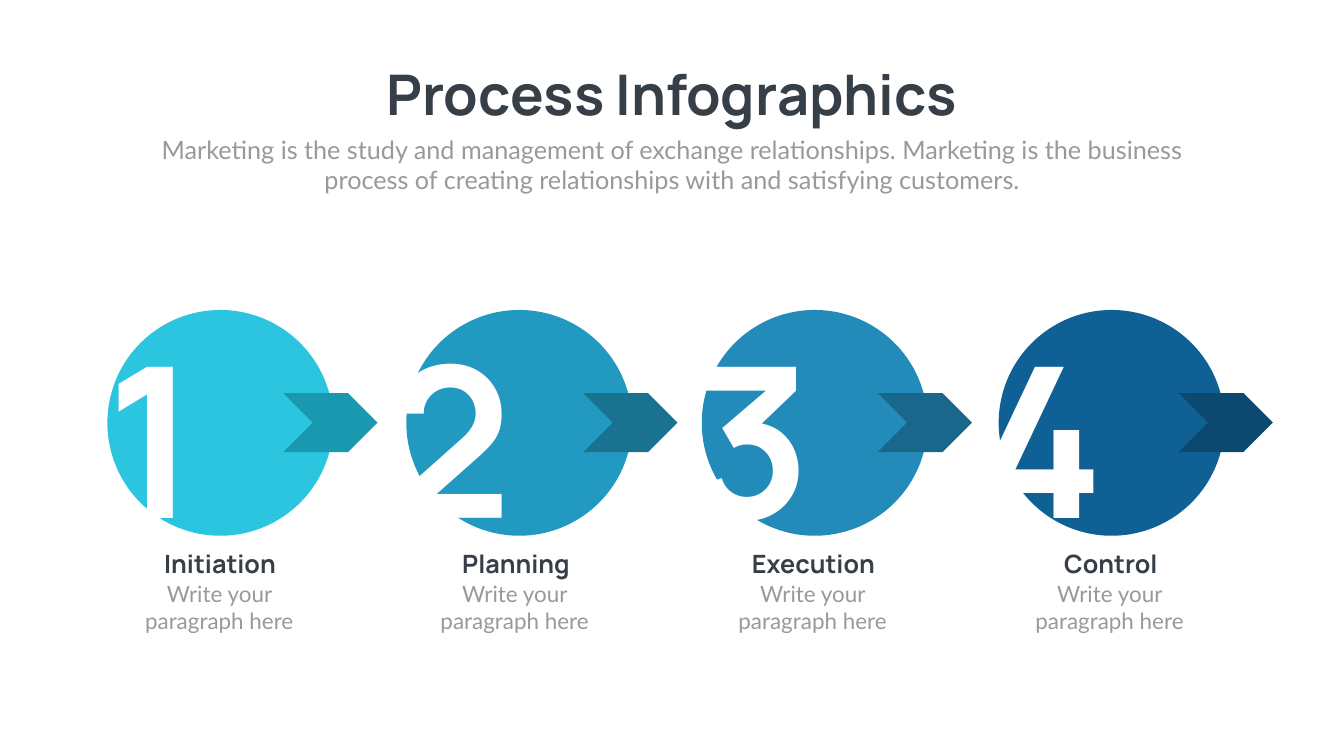
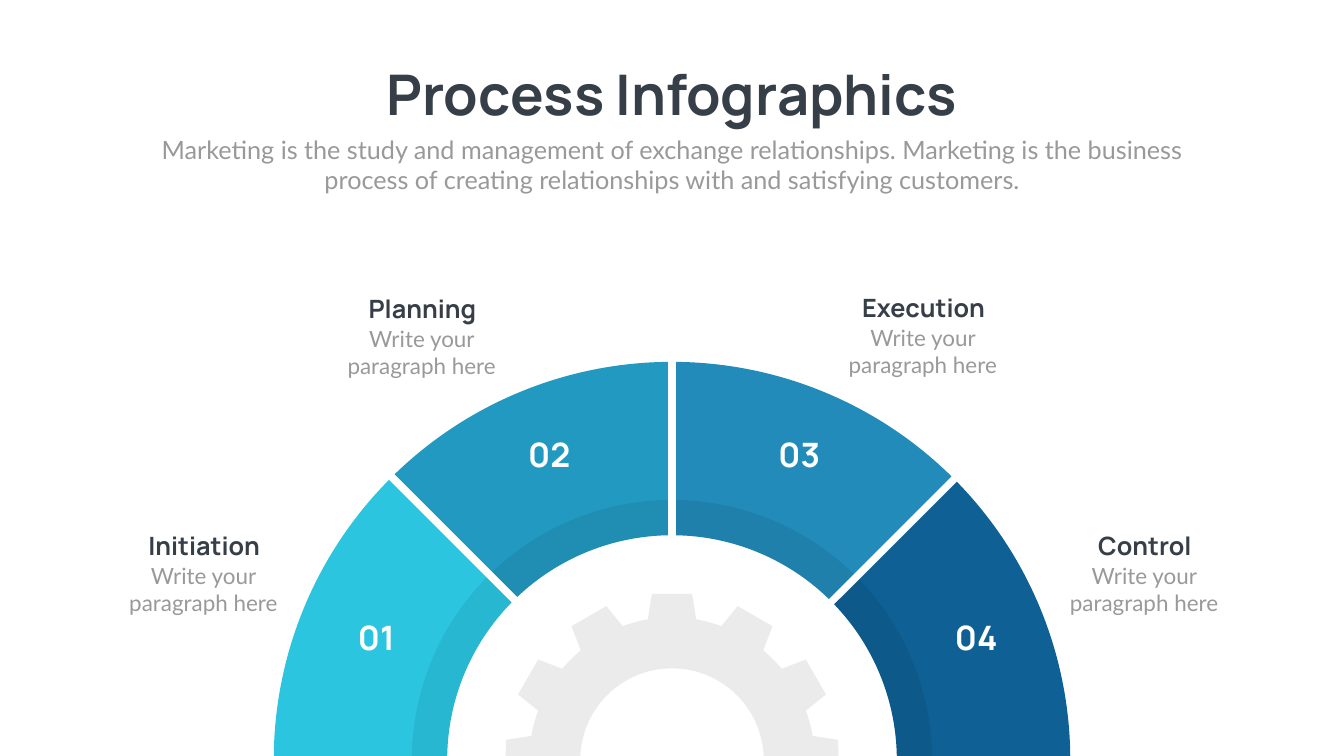
import math
from dataclasses import dataclass

import lxml.etree
import pptx
import pptx.dml.color
import pptx.enum.shapes
import pptx.enum.text
import pptx.oxml.ns
import pptx.presentation
import pptx.shapes.autoshape
import pptx.slide
import pptx.util

INK = pptx.dml.color.RGBColor(0x36, 0x3E, 0x48)
GREY = pptx.dml.color.RGBColor(0x99, 0x99, 0x99)
WHITE = pptx.dml.color.RGBColor(0xFF, 0xFF, 0xFF)
BLACK = pptx.dml.color.RGBColor(0x00, 0x00, 0x00)
GEAR_GREY = pptx.dml.color.RGBColor(0xEB, 0xEB, 0xEB)
CYAN = pptx.dml.color.RGBColor(0x2B, 0xC5, 0xE0)
TEAL = pptx.dml.color.RGBColor(0x22, 0x99, 0xC0)
BLUE = pptx.dml.color.RGBColor(0x22, 0x8B, 0xB9)
NAVY = pptx.dml.color.RGBColor(0x0F, 0x61, 0x95)
DARK_CYAN = pptx.dml.color.RGBColor(0x1A, 0x98, 0xAF)
DARK_TEAL = pptx.dml.color.RGBColor(0x19, 0x73, 0x90)
DARK_BLUE = pptx.dml.color.RGBColor(0x19, 0x68, 0x8B)
DARK_NAVY = pptx.dml.color.RGBColor(0x0B, 0x49, 0x70)

HEADING_FONT = "Manrope"
BODY_FONT = "Lato"
TITLE = "Process Infographics"
SUBTITLE = (
    "Marketing is the study and management of exchange relationships. "
    "Marketing is the business process of creating relationships with "
    "and satisfying customers."
)
STAGE_BODY = "Write your paragraph here"

CENTER_X, CENTER_Y = 13.33, 15.08
FLOOR_GAP = 0.08
OUTER_RADIUS, SHADE_RADIUS, INNER_RADIUS = 7.9, 5.16, 4.46
SECTOR_SWEEP = 45
TOOTH_PITCH = 30
TIP_RADIUS, TIP_HALF_ANGLE = 3.32, 6.9
ROOT_RADIUS, ROOT_HALF_ANGLE = 2.83, 9.76
RIM_RADIUS, HOLE_RADIUS = 3.3, 1.82

Point = tuple[float, float]


@dataclass(frozen=True)
class Stage:
    name: str
    color: pptx.dml.color.RGBColor
    arrow_color: pptx.dml.color.RGBColor
    circle_left: float
    numeral_left: float
    caption_left: float
    body_left: float
    arrow_left: float
    sector_start: float
    start_gap: float
    end_gap: float
    sector_number_at: Point
    sector_caption_at: Point


@dataclass(frozen=True)
class Node:
    point: Point
    controls: tuple[Point, ...] = ()


STAGES = [
    Stage("Initiation", CYAN, DARK_CYAN, 2.13, 0.98, 3.03, 2.45, 5.62,
          135, 0.04, FLOOR_GAP, (6.52, 12.2), (2.37, 10.47)),
    Stage("Planning", TEAL, DARK_TEAL, 8.06, 6.88, 8.9, 8.31, 11.57,
          90, 0.08, 0.12, (9.95, 8.56), (6.7, 5.78)),
    Stage("Execution", BLUE, DARK_BLUE, 13.92, 12.83, 14.8, 14.22, 17.41,
          45, 0.06, 0.08, (14.91, 8.56), (16.64, 5.75)),
    Stage("Control", NAVY, DARK_NAVY, 19.81, 18.58, 20.7, 20.11, 23.38,
          0, FLOOR_GAP, 0.09, (18.42, 12.2), (21.03, 10.47)),
]


def add_text(shapes, text: str, left: float, top: float, width: float,
             height: float, *, size: float, font: str = HEADING_FONT,
             color: pptx.dml.color.RGBColor = INK, bold: bool = True,
             wrap: bool = True) -> None:
    box = shapes.add_textbox(*map(pptx.util.Inches, (left, top, width, height)))
    frame = box.text_frame
    frame.word_wrap = wrap
    frame.auto_size = pptx.enum.text.MSO_AUTO_SIZE.SHAPE_TO_FIT_TEXT
    paragraph = frame.paragraphs[0]
    paragraph.alignment = pptx.enum.text.PP_ALIGN.CENTER
    run = paragraph.add_run()
    run.text = text
    run.font.name = font
    run.font.size = pptx.util.Pt(size)
    run.font.bold = bold
    run.font.color.rgb = color


def paint(shape: pptx.shapes.autoshape.Shape,
          color: pptx.dml.color.RGBColor, opacity: int = 100) -> None:
    shape.shadow.inherit = False
    shape.fill.solid()
    shape.fill.fore_color.rgb = color
    shape.line.fill.background()
    if opacity < 100:
        fill_color = shape.element.spPr.find(
            f"{pptx.oxml.ns.qn('a:solidFill')}/{pptx.oxml.ns.qn('a:srgbClr')}")
        lxml.etree.SubElement(fill_color, pptx.oxml.ns.qn("a:alpha"),
                              val=str(opacity * 1000))


def add_preset(shapes, preset: pptx.enum.shapes.MSO_SHAPE, left: float,
               top: float, width: float, height: float,
               color: pptx.dml.color.RGBColor) -> None:
    shape = shapes.add_shape(
        preset, *map(pptx.util.Inches, (left, top, width, height)))
    paint(shape, color)


def add_outline(shapes, nodes: list[Node],
                color: pptx.dml.color.RGBColor, opacity: int = 100) -> None:
    start, *rest = [tuple(map(pptx.util.Inches, node.point)) for node in nodes]
    builder = shapes.build_freeform(*start)
    builder.add_line_segments(rest, close=True)
    shape = builder.convert_to_shape()
    segments = list(shape.element.spPr.find(f".//{pptx.oxml.ns.qn('a:path')}"))
    for node, segment in zip(nodes, segments):
        if not node.controls:
            continue
        segment.tag = pptx.oxml.ns.qn("a:cubicBezTo")
        for position, (x, y) in enumerate(node.controls):
            control = lxml.etree.Element(
                pptx.oxml.ns.qn("a:pt"),
                x=str(int(pptx.util.Inches(x) - shape.left)),
                y=str(int(pptx.util.Inches(y) - shape.top)))
            segment.insert(position, control)
    bend_free = [node for node in nodes if node.controls]
    if bend_free:
        geometry = shape.element.spPr.find(pptx.oxml.ns.qn("a:custGeom"))
        refreshed = pptx.oxml.parse_xml(lxml.etree.tostring(geometry))
        shape.element.spPr.replace(geometry, refreshed)
    paint(shape, color, opacity)


def polar(radius: float, degrees: float) -> Point:
    angle = math.radians(degrees)
    return (CENTER_X + radius * math.cos(angle),
            CENTER_Y - radius * math.sin(angle))


def gap_angle(radius: float, gap: float) -> float:
    return math.degrees(math.asin(gap / radius))


def arc(radius: float, start: float, end: float, curves: int) -> list[Node]:
    sweep = (end - start) / curves
    reach = 4 / 3 * math.tan(math.radians(sweep) / 4)
    control_radius = radius * math.hypot(1, reach)
    lean = math.degrees(math.atan(reach))
    nodes = [Node(polar(radius, start))]
    for curve in range(curves):
        begin = start + curve * sweep
        finish = begin + sweep
        nodes.append(Node(polar(radius, finish),
                          (polar(control_radius, begin + lean),
                           polar(control_radius, finish - lean))))
    return nodes


def sector(stage: Stage, outer: float, curves: int) -> list[Node]:
    start, end = stage.sector_start, stage.sector_start + SECTOR_SWEEP
    return (arc(outer, start + gap_angle(outer, stage.start_gap),
                end - gap_angle(outer, stage.end_gap), curves)
            + arc(INNER_RADIUS, end - gap_angle(INNER_RADIUS, stage.end_gap),
                  start + gap_angle(INNER_RADIUS, stage.start_gap), 2))


def half_gear() -> list[Node]:
    rim_gap = gap_angle(RIM_RADIUS, FLOOR_GAP)
    hole_gap = gap_angle(HOLE_RADIUS, FLOOR_GAP)
    nodes = [Node(polar(RIM_RADIUS, rim_gap))]
    for tooth in range(0, 180, TOOTH_PITCH):
        following = tooth + TOOTH_PITCH
        nodes.append(Node(polar(TIP_RADIUS, tooth + TIP_HALF_ANGLE)))
        nodes += arc(ROOT_RADIUS, tooth + ROOT_HALF_ANGLE,
                     following - ROOT_HALF_ANGLE, 1)
        nodes.append(Node(polar(TIP_RADIUS, following - TIP_HALF_ANGLE)))
    nodes.append(Node(polar(RIM_RADIUS, 180 - rim_gap)))
    return nodes + arc(HOLE_RADIUS, 180 - hole_gap, hole_gap, 4)


def add_caption(shapes, name: str, left: float, top: float, name_width: float,
                body_left: float, body_width: float) -> None:
    add_text(shapes, name, left, top, name_width, 0.71, size=36)
    add_text(shapes, STAGE_BODY, body_left, top + 0.63, body_width, 1.18,
             size=32, font=BODY_FONT, color=GREY, bold=False)


def add_titled_slide(
        deck: pptx.presentation.Presentation) -> pptx.slide.Slide:
    slide = deck.slides.add_slide(deck.slide_layouts[6])
    slide.background.fill.solid()
    slide.background.fill.fore_color.rgb = WHITE
    add_text(slide.shapes, TITLE, 7.17, 1.14, 12.32, 1.45, size=80, wrap=False)
    add_text(slide.shapes, SUBTITLE, 2.92, 2.61, 20.82, 1.31, size=36,
             font=BODY_FONT, color=GREY, bold=False)
    return slide


def build_circle_slide(deck: pptx.presentation.Presentation) -> None:
    shapes = add_titled_slide(deck).shapes
    for stage in STAGES:
        add_preset(shapes, pptx.enum.shapes.MSO_SHAPE.OVAL,
                   stage.circle_left, 6.15, 4.48, 4.48, stage.color)
    for number, stage in enumerate(STAGES, 1):
        add_text(shapes, str(number), stage.numeral_left, 6.08, 4.1, 5.15,
                 size=300, color=WHITE)
    for stage in STAGES:
        add_caption(shapes, stage.name, stage.caption_left, 10.83, 2.67,
                    stage.body_left, 3.8)
    for stage in STAGES:
        add_preset(shapes, pptx.enum.shapes.MSO_SHAPE.CHEVRON,
                   stage.arrow_left, 7.8, 1.87, 1.17, stage.arrow_color)


def build_dial_slide(deck: pptx.presentation.Presentation) -> None:
    slide = add_titled_slide(deck)
    dial = slide.shapes.add_group_shape().shapes
    for stage in STAGES:
        add_outline(dial, sector(stage, OUTER_RADIUS, 2), stage.color)
    for stage in STAGES:
        add_outline(dial, sector(stage, SHADE_RADIUS, 1), BLACK, opacity=7)
    add_outline(dial, half_gear(), GEAR_GREY)
    for number, stage in enumerate(STAGES, 1):
        add_text(dial, f"{number:02}", *stage.sector_number_at, 1.89, 1.08,
                 size=48, color=WHITE)
    for stage in STAGES[1:] + STAGES[:1]:
        caption = slide.shapes.add_group_shape().shapes
        left, top = stage.sector_caption_at
        add_caption(caption, stage.name, left, top, 3.36, left - 0.03, 3.39)


def main() -> None:
    deck = pptx.Presentation()
    deck.slide_width = pptx.util.Inches(26.66)
    deck.slide_height = pptx.util.Inches(15)
    build_circle_slide(deck)
    build_dial_slide(deck)
    deck.save("out.pptx")


if __name__ == "__main__":
    main()
